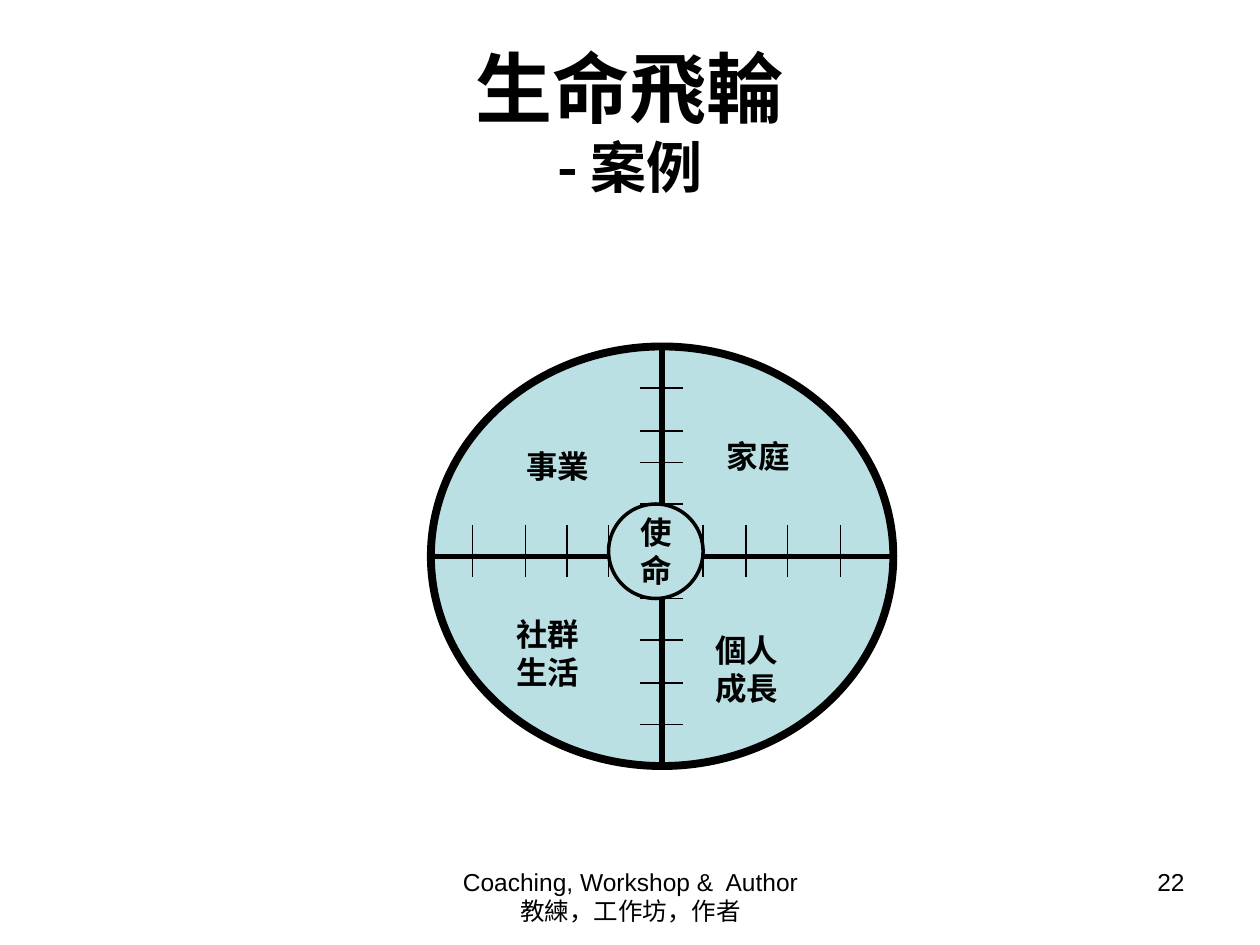
from pptx import Presentation
from pptx.dml.color import RGBColor
from pptx.enum.shapes import MSO_CONNECTOR, MSO_SHAPE
from pptx.enum.text import MSO_ANCHOR, PP_ALIGN
from pptx.oxml.ns import qn
from pptx.util import Inches, Pt
from lxml import etree

BLACK = RGBColor(0x00, 0x00, 0x00)
WHEEL_BLUE = RGBColor(0xBB, 0xE0, 0xE3)
CJK = "Noto Sans CJK SC"
LATIN = "Arial"

# Wheel geometry in inches
LEFT, TOP, WIDTH, HEIGHT = 3.42, 2.75, 3.67, 3.33
CENTER_X, CENTER_Y = LEFT + WIDTH / 2, TOP + HEIGHT / 2
SPOKE_TICKS_Y = (3.08, 3.42, 3.67, 4, 4.75, 5.08, 5.42, 5.75)
SPOKE_TICKS_X = (3.75, 4.17, 4.5, 4.83, 5.58, 5.92, 6.25, 6.67)


def write_text(tf, text, size=18, font=CJK, bold=True, align=PP_ALIGN.LEFT,
               anchor=MSO_ANCHOR.TOP):
    """Write one paragraph; size may be a list with one entry per line."""
    tf.word_wrap = True
    tf.vertical_anchor = anchor
    p = tf.paragraphs[0]
    p.alignment = align
    lines = text.split("\n")
    sizes = size if isinstance(size, list) else [size] * len(lines)
    for i, (line, points) in enumerate(zip(lines, sizes)):
        if i:
            p.add_line_break()
        r = p.add_run()
        r.text = line
        r.font.size = Pt(points)
        r.font.bold = bold
        r.font.color.rgb = BLACK
        r.font.name = font
        etree.SubElement(r.font._element, qn("a:ea")).set("typeface", CJK)


def add_text(s, x, y, w, h, text, **fmt):
    box = s.shapes.add_textbox(Inches(x), Inches(y), Inches(w), Inches(h))
    write_text(box.text_frame, text, **fmt)


def add_ellipse(s, x, y, w, h, line_width):
    sp = s.shapes.add_shape(MSO_SHAPE.OVAL, Inches(x), Inches(y), Inches(w), Inches(h))
    sp.shadow.inherit = False
    sp.fill.solid()
    sp.fill.fore_color.rgb = WHEEL_BLUE
    sp.line.color.rgb = BLACK
    sp.line.width = Pt(line_width)
    return sp


def add_line(s, x1, y1, x2, y2, width=0.75):
    line = s.shapes.add_connector(MSO_CONNECTOR.STRAIGHT, Inches(x1), Inches(y1),
                                  Inches(x2), Inches(y2))
    line.line.color.rgb = BLACK
    line.line.width = Pt(width)
    etree.SubElement(line._element.spPr, qn("a:effectLst"))


def add_wheel(s):
    # Rim and spokes
    add_ellipse(s, LEFT, TOP, WIDTH, HEIGHT, 4.5)
    add_line(s, LEFT, CENTER_Y, LEFT + WIDTH, CENTER_Y, width=3)
    add_line(s, CENTER_X, TOP, CENTER_X, TOP + HEIGHT, width=3)
    # Scale marks
    for y in SPOKE_TICKS_Y:
        add_line(s, 5.08, y, 5.42, y)
    for x in SPOKE_TICKS_X:
        add_line(s, x, 4.17, x, 4.58)
    # Hub
    hub = add_ellipse(s, 4.83, 4, 0.75, 0.75, 2)
    write_text(hub.text_frame, "使命", align=PP_ALIGN.CENTER, anchor=MSO_ANCHOR.MIDDLE)
    # Life areas
    for x, y, w, h, area in ((5.67, 3.42, 0.92, 0.4, "家庭"),
                             (4.08, 3.5, 0.92, 0.4, "事業"),
                             (4, 4.83, 0.92, 0.7, "社群生活"),
                             (5.58, 4.96, 0.75, 0.7, "個人成長")):
        add_text(s, x, y, w, h, area)


def main():
    prs = Presentation()
    prs.slide_width, prs.slide_height = Inches(10), Inches(7.5)
    s = prs.slides.add_slide(prs.slide_layouts[6])

    # Title
    add_text(s, 0.5, 0.33, 9, 1.25, "生命飛輪\n- 案例", size=[44, 32],
             align=PP_ALIGN.CENTER, anchor=MSO_ANCHOR.MIDDLE)
    add_wheel(s)

    # Footer
    small = {"size": 14, "font": LATIN, "bold": False}
    add_text(s, 7.17, 6.83, 2.33, 0.52, "22", align=PP_ALIGN.RIGHT, **small)
    add_text(s, 3.42, 6.83, 3.17, 0.52, "Coaching, Workshop &  Author\n教練，工作坊，作者",
             align=PP_ALIGN.CENTER, **small)
    prs.save("out.pptx")


if __name__ == "__main__":
    main()
